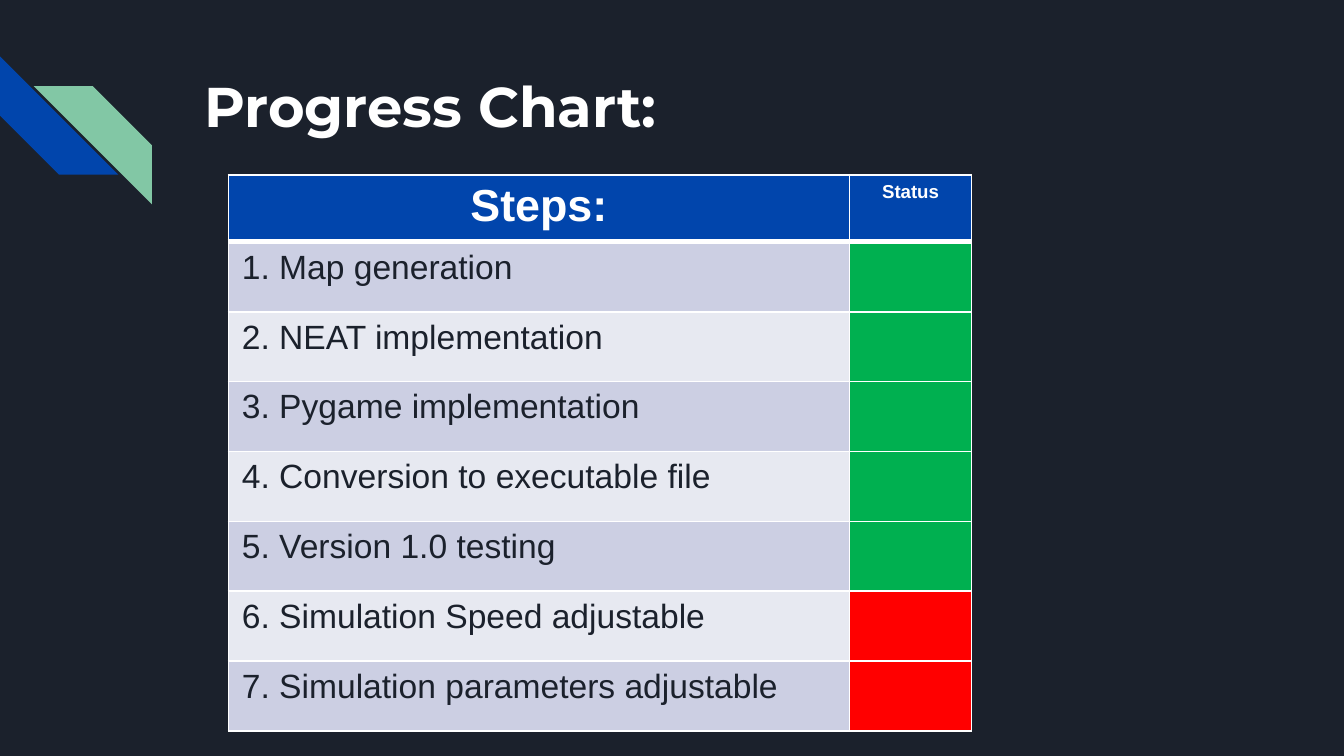
from lxml import etree
from pptx import Presentation
from pptx.dml.color import RGBColor
from pptx.enum import shapes, text
from pptx.oxml import ns
from pptx.util import Inches, Pt

BACKGROUND, BLUE, MINT, WHITE = "1B212C", "0145AC", "82C7A5", "FFFFFF"
BANDS = ("CCCFE3", "E7E9F1")
DONE, PENDING = "00B050", "FF0000"
STEPS = [
    ("1. Map generation", DONE),
    ("2. NEAT implementation", DONE),
    ("3. Pygame implementation", DONE),
    ("4. Conversion to executable file", DONE),
    ("5. Version 1.0 testing", DONE),
    ("6. Simulation Speed adjustable", PENDING),
    ("7. Simulation parameters adjustable", PENDING),
]


def paint(color_format, value):
    color_format.rgb = RGBColor.from_string(value)


def fill_solid(fill, value):
    fill.solid()
    paint(fill.fore_color, value)


def write(frame, words, size, color, font="Arial", bold=False, align=text.PP_ALIGN.LEFT):
    frame.text = words
    para = frame.paragraphs[0]
    para.alignment = align
    span = para.runs[0]
    span.font.name = font
    span.font.size = Pt(size)
    span.font.bold = bold
    paint(span.font.color, color)


def add_stripe(page, left, top, size, color):
    stripe = page.shapes.add_shape(
        shapes.MSO_SHAPE.DIAGONAL_STRIPE,
        Inches(left), Inches(top), Inches(size), Inches(size))
    stripe.shadow.inherit = False
    stripe.line.fill.background()
    fill_solid(stripe.fill, color)
    return stripe


def add_ornament(page, left, top, size):
    add_stripe(page, left, top, size, BLUE).rotation = 270
    mint = add_stripe(page, left + 0.25, top + 0.22, size, MINT)
    mint._element.spPr.xfrm.set("flipH", "1")


def add_title(page, left, top, width, height):
    box = page.shapes.add_textbox(Inches(left), Inches(top), Inches(width), Inches(height))
    frame = box.text_frame
    frame.word_wrap = True
    frame.margin_left = frame.margin_right = Inches(0.1)
    frame.margin_top = frame.margin_bottom = Inches(0.1)
    write(frame, "Progress Chart:", 30, WHITE, "Montserrat", True)


def set_borders(cell, widths):
    properties = cell._tc.get_or_add_tcPr()
    for index, (side, width) in enumerate(widths.items()):
        line = etree.Element(ns.qn(f"a:ln{side}"), w=str(Pt(width)))
        solid = etree.SubElement(line, ns.qn("a:solidFill"))
        etree.SubElement(solid, ns.qn("a:srgbClr"), val=WHITE)
        properties.insert(index, line)


def add_progress_table(page, left, top, widths, header_height, row_height):
    height = header_height + row_height * len(STEPS)
    table = page.shapes.add_table(
        len(STEPS) + 1, len(widths),
        Inches(left), Inches(top), Inches(sum(widths)), Inches(height)).table
    for column, width in zip(table.columns, widths):
        column.width = Inches(width)
    for index, row in enumerate(table.rows):
        row.height = Inches(row_height if index else header_height)
        for cell in row.cells:
            set_borders(cell, {"L": 1, "R": 1, "T": 3 if index == 1 else 1,
                               "B": 1 if index else 3})

    for column, (words, size) in enumerate([("Steps:", 24), ("Status", 10)]):
        cell = table.cell(0, column)
        fill_solid(cell.fill, BLUE)
        write(cell.text_frame, words, size, WHITE, bold=True, align=text.PP_ALIGN.CENTER)

    for index, (step, status) in enumerate(STEPS):
        name_cell, status_cell = table.rows[index + 1].cells
        fill_solid(name_cell.fill, BANDS[index % 2])
        write(name_cell.text_frame, step, 18, BACKGROUND)
        fill_solid(status_cell.fill, status)


def main():
    deck = Presentation()
    deck.slide_width = Inches(10)
    deck.slide_height = deck.slide_width * 9 // 16
    page = deck.slides.add_slide(deck.slide_layouts[6])
    fill_solid(page.background.fill, BACKGROUND)
    add_ornament(page, 0, 0.42, 0.88)
    add_title(page, 1.42, 0.43, 7.7, 1)
    add_progress_table(page, 1.7, 1.3, (4.62, 0.91), 0.49, 0.52)
    deck.save("out.pptx")


if __name__ == "__main__":
    main()
